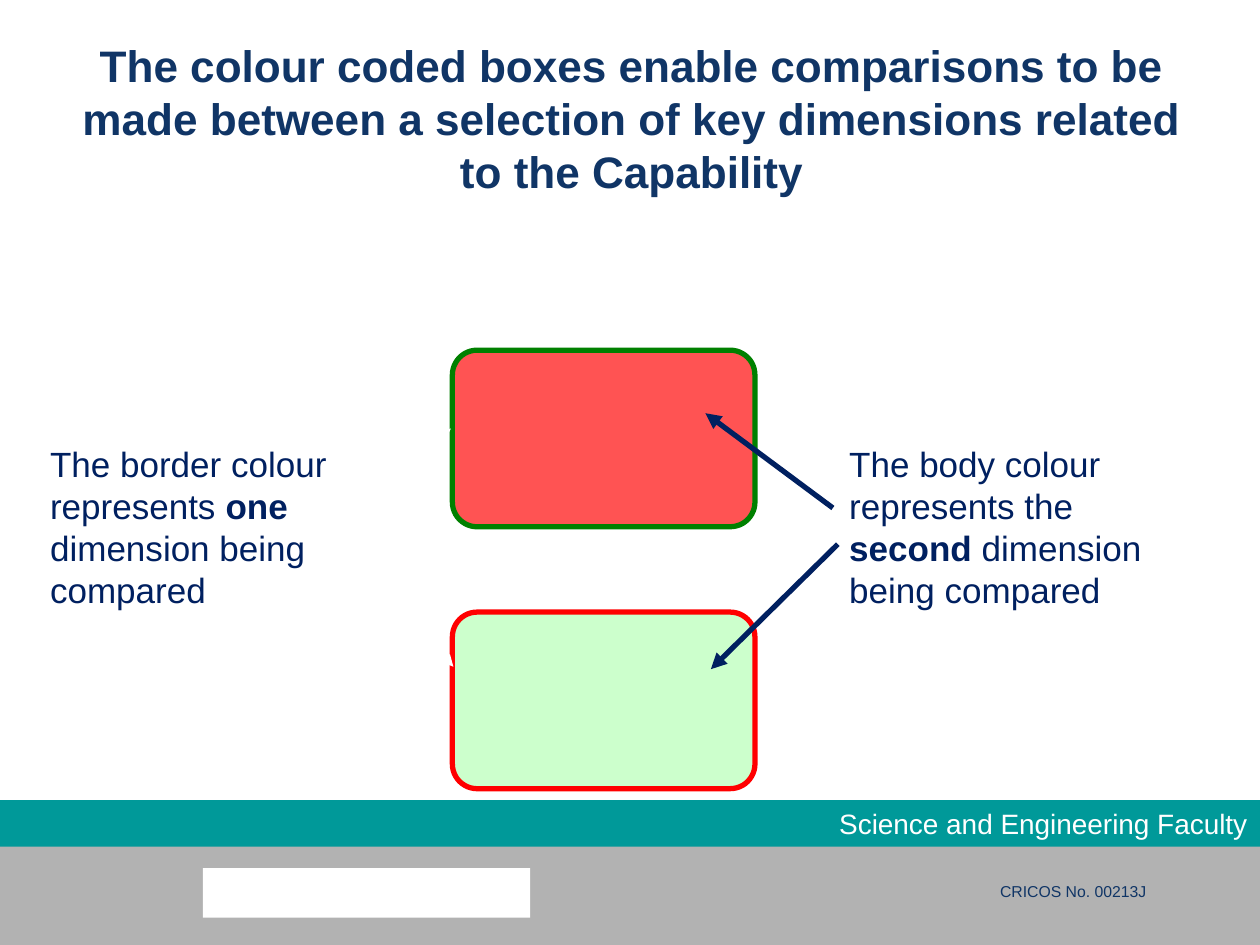
from dataclasses import dataclass

from lxml import etree
from pptx import Presentation
from pptx.dml.color import RGBColor
from pptx.enum.shapes import MSO_CONNECTOR, MSO_SHAPE
from pptx.enum.text import MSO_ANCHOR, PP_ALIGN
from pptx.oxml.ns import qn
from pptx.util import Cm, Pt

RECTANGLE = MSO_SHAPE.RECTANGLE
ROUNDED = MSO_SHAPE.ROUNDED_RECTANGLE
STRAIGHT = MSO_CONNECTOR.STRAIGHT
TOP, MIDDLE = MSO_ANCHOR.TOP, MSO_ANCHOR.MIDDLE
LEFT, CENTER, RIGHT = PP_ALIGN.LEFT, PP_ALIGN.CENTER, PP_ALIGN.RIGHT

FONT = "Arial"
PAGE_WIDTH, PAGE_HEIGHT = 25.4, 19.05
COLORS = {
    "white": "FFFFFF",
    "grey": "B2B2B2",
    "teal": "009999",
    "title": "103566",
    "navy": "002060",
    "red body": "FF5353",
    "green body": "CCFFCC",
    "red border": "FF0000",
    "green border": "008000",
}


@dataclass
class Label:
    place: tuple[float, float, float, float]
    spans: list[str]  # every second span is emphasised
    size: float
    color: str
    bold: bool = False
    wrap: bool = True
    align: PP_ALIGN = LEFT
    anchor: MSO_ANCHOR = TOP


@dataclass
class Arrow:
    start: tuple[float, float]
    end: tuple[float, float]
    color: str
    width: float


@dataclass
class CodedBox:
    top: float
    body: str
    border: str
    arrows: list[Arrow]


def rgb(name: str) -> RGBColor:
    return RGBColor.from_string(COLORS[name])


def write(frame, label: Label) -> None:
    frame.word_wrap = label.wrap
    frame.vertical_anchor = label.anchor
    para = frame.paragraphs[0]
    para.alignment = label.align
    para.font.name = FONT
    para.font.size = Pt(label.size)
    para.font.bold = label.bold
    para.font.color.rgb = rgb(label.color)
    for index, text in enumerate(label.spans):
        span = para.add_run()
        span.text = text
        if index % 2:
            span.font.bold = True


def add_label(page, label: Label) -> None:
    box = page.shapes.add_textbox(*map(Cm, label.place))
    write(box.text_frame, label)


def add_block(page, kind, place, fill: str):
    block = page.shapes.add_shape(kind, *map(Cm, place))
    block.shadow.inherit = False
    block.fill.solid()
    block.fill.fore_color.rgb = rgb(fill)
    block.line.fill.background()
    return block


def add_arrow(page, arrow: Arrow) -> None:
    line = page.shapes.add_connector(STRAIGHT, *map(Cm, arrow.start + arrow.end))
    line.line.color.rgb = rgb(arrow.color)
    line.line.width = Pt(arrow.width)
    outline = line.line._get_or_add_ln()
    etree.SubElement(outline, qn("a:tailEnd"), type="triangle")
    etree.SubElement(line._element.spPr, qn("a:effectLst"))


def add_coded_box(page, coded: CodedBox) -> None:
    box = add_block(page, ROUNDED, (9.12, coded.top, 6.1, 3.56), coded.body)
    box.adjustments[0] = 0.14
    box.line.color.rgb = rgb(coded.border)
    box.line.width = Pt(3)
    for arrow in coded.arrows:
        add_arrow(page, arrow)


PROVIDER = Label((19.91, 17.65, 3.45, 0.64), ["CRICOS No. 00213J"],
                 9, "title", wrap=False)

FACULTY = Label((0, 16.13, PAGE_WIDTH, 0.94), ["Science and Engineering Faculty"],
                16, "white", align=RIGHT, anchor=MIDDLE)

TITLE = Label(
    (1.07, 0.64, 23.32, 3.48),
    ["The colour coded boxes enable comparisons to be made between "
     "a selection of key dimensions related to the Capability"],
    25.2, "title", bold=True, align=CENTER, anchor=MIDDLE)

EXPLANATIONS = [
    Label((0.76, 8.79, 6.63, 3.68),
          ["The border colour represents ", "one", " dimension being compared"],
          20, "navy"),
    Label((16.87, 8.79, 7.44, 3.68),
          ["The body colour represents the ", "second", " dimension being compared"],
          20, "navy"),
]

CODED_BOXES = [
    CodedBox(7.06, "red body", "green border", [
        Arrow((7.01, 10.13), (9.09, 8.64), "white", 2.25),
        Arrow((16.79, 10.24), (14.22, 8.33), "navy", 3),
    ]),
    CodedBox(12.34, "green body", "red border", [
        Arrow((6.99, 11.05), (9.14, 13.44), "white", 2.25),
        Arrow((16.89, 10.97), (14.33, 13.49), "navy", 3),
    ]),
]


def main() -> None:
    deck = Presentation()
    deck.slide_width, deck.slide_height = Cm(PAGE_WIDTH), Cm(PAGE_HEIGHT)
    page = deck.slides.add_slide(deck.slide_layouts[6])

    # Footer: grey strip, plain block and provider number
    add_block(page, RECTANGLE, (0, 16.74, PAGE_WIDTH, 2.31), "grey")
    add_block(page, RECTANGLE, (4.09, 17.5, 6.6, 1), "white")
    add_label(page, PROVIDER)

    # Faculty band
    band = add_block(page, RECTANGLE, FACULTY.place, "teal")
    write(band.text_frame, FACULTY)

    # Title, coded boxes with their arrows, explanations
    add_label(page, TITLE)
    for coded in CODED_BOXES:
        add_coded_box(page, coded)
    for label in EXPLANATIONS:
        add_label(page, label)

    deck.save("out.pptx")


if __name__ == "__main__":
    main()
